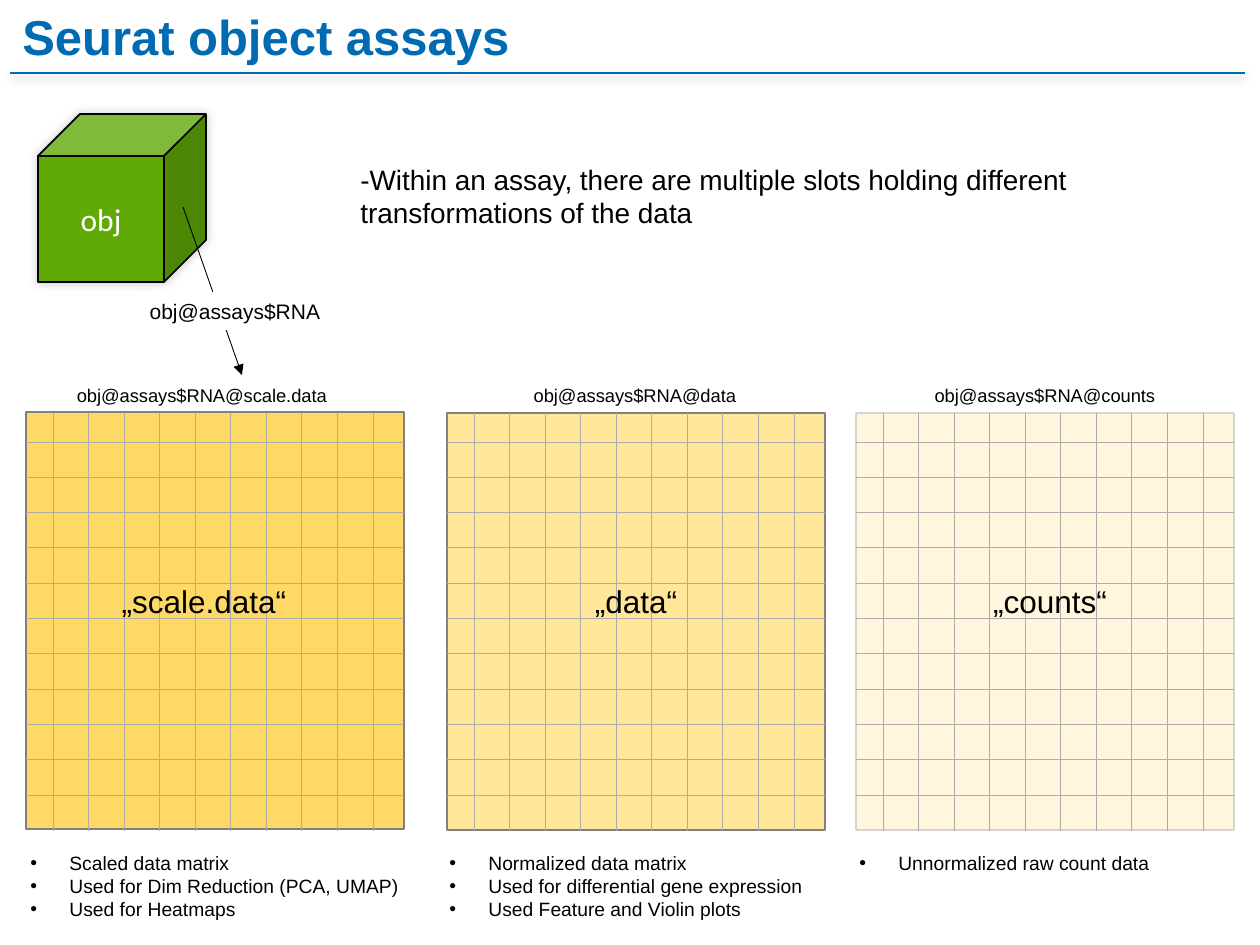
from dataclasses import dataclass

import lxml.etree
import pptx
import pptx.dml.color
import pptx.enum.dml
import pptx.enum.shapes
import pptx.enum.text
import pptx.util
from pptx.oxml.ns import qn

EMU_PER_PX = 914400 / 126
ALIGN = pptx.enum.text.PP_ALIGN
ANCHOR = pptx.enum.text.MSO_ANCHOR
SHAPE = pptx.enum.shapes.MSO_SHAPE


@dataclass(frozen=True)
class Style:
    size: float
    color: str = "000000"
    font: str = "Arial"
    bold: bool = False


@dataclass(frozen=True)
class Theme:
    rule: str = "006AB3"
    ink: str = "000000"
    paper: str = "FFFFFF"
    cube: str = "60A907"
    border: str = "808080"
    grid: str = "AFABAB"
    title: Style = Style(28, "006AB3", bold=True)
    intro: Style = Style(16)
    cube_label: Style = Style(18, "FFFFFF", "Calibri")
    assay: Style = Style(12)
    accessor: Style = Style(10.5)
    slot_name: Style = Style(18)
    usage: Style = Style(11)


@dataclass(frozen=True)
class Box:
    left: float
    top: float
    width: float
    height: float


@dataclass(frozen=True)
class Shadow:
    blur: float
    distance: float
    degrees: int
    alpha: int


@dataclass(frozen=True)
class Slot:
    name: str
    accessor: str
    usages: tuple[str, ...]
    matrix: Box
    accessor_left: int
    name_left: int
    usage_box: Box
    fill: str
    fill_alpha: int = 100
    border_alpha: int = 100


THEME = Theme()
GRID_COLUMNS, GRID_ROWS = 10, 11
GRID_X = (27, 347)  # first and last vertical line, from the matrix's left
GRID_Y = (442, 795)  # first and last horizontal line
GRID_TOP, GRID_BOTTOM = 413, 831

SLOTS = (
    Slot("scale.data", "obj@assays$RNA@scale.data",
         ("Scaled data matrix", "Used for Dim Reduction (PCA, UMAP)", "Used for Heatmaps"),
         Box(26, 412, 378, 417), 18, 100, Box(18, 845, 397, 83), "FFD966"),
    Slot("data", "obj@assays$RNA@data",
         ("Normalized data matrix", "Used for differential gene expression",
          "Used Feature and Violin plots"),
         Box(447, 413, 378, 417), 451, 532, Box(437, 845, 382, 83), "FFE699"),
    Slot("counts", "obj@assays$RNA@counts", ("Unnormalized raw count data",),
         Box(856, 413, 378, 417), 861, 946, Box(847, 845, 318, 37), "FFD966", 22, 29),
)


def px(length: float) -> int:
    return round(length * EMU_PER_PX)


def place(box: Box) -> tuple[int, int, int, int]:
    return px(box.left), px(box.top), px(box.width), px(box.height)


def rgb(color: str) -> pptx.dml.color.RGBColor:
    return pptx.dml.color.RGBColor.from_string(color)


def paint(fill, color: str, alpha: int = 100) -> None:
    fill.solid()
    fill.fore_color.rgb = rgb(color)
    if alpha < 100:
        set_alpha(fill.fore_color._xFill.find(qn("a:srgbClr")), alpha)


def set_alpha(color_element, alpha: int) -> None:
    lxml.etree.SubElement(color_element, qn("a:alpha"), val=str(alpha * 1000))


def set_effects(shape, shadow: Shadow | None) -> None:
    """Replace the theme's shadow by the given one, or by none."""
    effects = lxml.etree.SubElement(shape._element.spPr, qn("a:effectLst"))
    if shadow:
        outer = lxml.etree.SubElement(
            effects, qn("a:outerShdw"),
            blurRad=str(pptx.util.Pt(shadow.blur)), dist=str(pptx.util.Pt(shadow.distance)),
            dir=str(shadow.degrees * 60000), algn="ctr", rotWithShape="0")
        set_alpha(lxml.etree.SubElement(outer, qn("a:srgbClr"), val=THEME.ink), shadow.alpha)


def write(frame, lines: tuple[str, ...], style: Style, align=ALIGN.LEFT,
          bulleted: bool = False) -> None:
    for index, line in enumerate(lines):
        paragraph = frame.add_paragraph() if index else frame.paragraphs[0]
        paragraph.text = line
        paragraph.alignment = align
        if bulleted:
            properties = paragraph._p.get_or_add_pPr()
            properties.set("marL", str(px(39)))
            properties.set("indent", str(px(-39)))
            lxml.etree.SubElement(properties, qn("a:buFont"), typeface="Arial")
            lxml.etree.SubElement(properties, qn("a:buChar"), char="•")
        paragraph.font.name = style.font
        paragraph.font.size = pptx.util.Pt(style.size)
        paragraph.font.bold = style.bold
        paragraph.font.color.rgb = rgb(style.color)


def add_text(shapes, box: Box, lines: tuple[str, ...], style: Style, align=ALIGN.LEFT,
             wrap: bool = True, bulleted: bool = False) -> None:
    frame = shapes.add_textbox(*place(box)).text_frame
    frame.word_wrap = wrap
    frame.auto_size = pptx.enum.text.MSO_AUTO_SIZE.SHAPE_TO_FIT_TEXT
    write(frame, lines, style, align, bulleted)


def add_line(shapes, start: tuple[float, float], end: tuple[float, float], color: str,
             width: float, shadow: Shadow | None = None, arrow: bool = False) -> None:
    line = shapes.add_connector(pptx.enum.shapes.MSO_CONNECTOR.STRAIGHT,
                                px(start[0]), px(start[1]), px(end[0]), px(end[1]))
    paint(line.line.fill, color)
    line.line.width = pptx.util.Pt(width)
    if arrow:
        lxml.etree.SubElement(line.line._get_or_add_ln(), qn("a:tailEnd"), type="triangle")
    set_effects(line, shadow)


def add_block(shapes, kind, box: Box, fill: str, border: str | None = None,
              fill_alpha: int = 100, border_alpha: int = 100, shadow: Shadow | None = None):
    block = shapes.add_shape(kind, *place(box))
    paint(block.fill, fill, fill_alpha)
    if border:
        paint(block.line.fill, border, border_alpha)
        block.line.width = pptx.util.Pt(1)
    else:
        block.line.fill.background()
    set_effects(block, shadow)
    return block


def spread(ends: tuple[float, float], count: int) -> list[float]:
    """Evenly spaced positions from the first end to the last."""
    first, last = ends
    return [first + (last - first) * i / (count - 1) for i in range(count)]


def add_slot(slide, slot: Slot) -> None:
    shapes = slide.shapes.add_group_shape().shapes
    left, right = slot.matrix.left, slot.matrix.left + slot.matrix.width
    add_block(shapes, SHAPE.RECTANGLE, slot.matrix, slot.fill, THEME.border,
              slot.fill_alpha, slot.border_alpha)
    for offset in spread(GRID_X, GRID_COLUMNS):
        add_line(shapes, (left + offset, GRID_TOP), (left + offset, GRID_BOTTOM), THEME.grid, 0.5)
    for y in spread(GRID_Y, GRID_ROWS):
        add_line(shapes, (left, y), (right, y), THEME.grid, 0.5)
    add_text(shapes, Box(slot.name_left, 576, 208, 50), (f"„{slot.name}“",),
             THEME.slot_name, ALIGN.CENTER)
    add_text(shapes, Box(slot.accessor_left, 378, 368, 36), (slot.accessor,),
             THEME.accessor, ALIGN.CENTER)
    add_text(shapes, slot.usage_box, slot.usages, THEME.usage, wrap=False, bulleted=True)


def add_object(slide) -> None:
    """Draw the object cube and the arrow to its RNA assay."""
    cube = add_block(slide.shapes, SHAPE.CUBE, Box(38, 114, 168, 168), THEME.cube, THEME.ink,
                     shadow=Shadow(6, 0, 315, 20))
    cube.text_frame.vertical_anchor = ANCHOR.MIDDLE
    write(cube.text_frame, ("obj",), THEME.cube_label, ALIGN.CENTER)
    add_line(slide.shapes, (183, 207), (242, 375), THEME.ink, 0.5, arrow=True)
    assay = add_block(slide.shapes, SHAPE.RECTANGLE, Box(133, 292, 204, 38), THEME.paper)
    assay.text_frame.word_wrap = True
    assay.text_frame.vertical_anchor = ANCHOR.TOP
    write(assay.text_frame, ("obj@assays$RNA",), THEME.assay, ALIGN.CENTER)


def main() -> None:
    deck = pptx.Presentation()
    deck.slide_width, deck.slide_height = px(1260), px(945)
    slide = deck.slides.add_slide(deck.slide_layouts[6])
    add_text(slide.shapes, Box(10, 0, 519, 72), ("Seurat object assays",), THEME.title, wrap=False)
    add_line(slide.shapes, (10, 73), (1245, 73), THEME.rule, 1.25, Shadow(5, 2, 90, 27))
    add_text(slide.shapes, Box(348, 156, 929, 81),
             ("-Within an assay, there are multiple slots holding different "
              "transformations of the data",), THEME.intro)
    for slot in SLOTS:
        add_slot(slide, slot)
    add_object(slide)
    deck.save("out.pptx")


if __name__ == "__main__":
    main()
